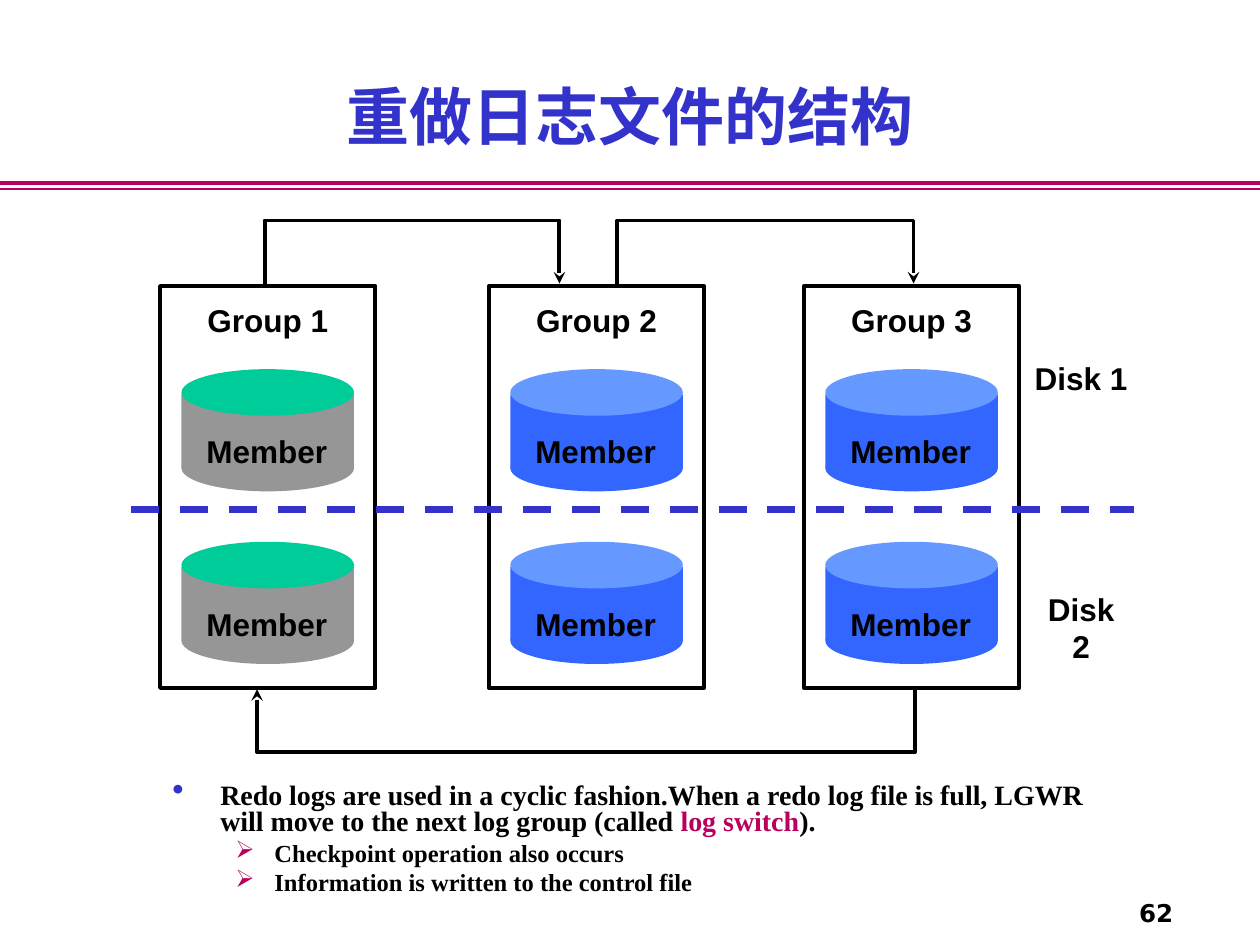
from dataclasses import dataclass
from typing import Any

from lxml.etree import SubElement
from pptx import Presentation
from pptx.dml.color import RGBColor
from pptx.enum.dml import MSO_LINE
from pptx.enum.shapes import MSO_CONNECTOR, MSO_SHAPE
from pptx.enum.text import MSO_ANCHOR, MSO_AUTO_SIZE, PP_ALIGN
from pptx.oxml.ns import qn
from pptx.util import Inches, Pt


@dataclass(frozen=True)
class Theme:
    """Colours, fonts, type sizes and line widths of the slide."""

    black: str = "000000"
    blue: str = "3333CC"
    crimson: str = "BA005D"
    serif: str = "Times New Roman"
    sans: str = "Arial"
    number_font: str = "DejaVu Sans"
    title_size: int = 36
    label_size: int = 18
    body_size: int = 16
    small_size: int = 14
    line_width: float = 2.25
    divider_width: float = 4


@dataclass(frozen=True)
class LogGroup:
    """A redo log group and the colours of its member disks."""

    name: str
    left: float
    side: str
    lid: str


@dataclass(frozen=True)
class Label:
    """A line of text with its box and format."""

    text: str
    box: tuple[float, float, float, float]
    size: int
    font: str
    align: PP_ALIGN = PP_ALIGN.CENTER
    wrap: bool = True


@dataclass(frozen=True)
class Bullet:
    """A bullet paragraph made of text and colour pairs."""

    runs: tuple[tuple[str, str], ...]
    mark: str
    mark_color: str
    mark_percent: int
    size: int
    level: int
    margin: float
    hanging: float
    space_before: float


THEME = Theme()
GROUPS = (
    LogGroup("Group 1", 1.27, "969696", "00CC99"),
    LogGroup("Group 2", 3.88, "3366FF", "6699FF"),
    LogGroup("Group 3", 6.38, "3366FF", "6699FF"),
)
FRAME_TOP, FRAME_WIDTH, FRAME_HEIGHT = 2.27, 1.71, 3.19
DISK_TOPS = (2.93, 4.3)
DISK_WIDTH, LID_HEIGHT = 1.37, 0.37
ARROWS = (
    ((2.1, 2.27), (2.1, 1.75), (4.44, 1.75), (4.44, 2.25)),
    ((4.9, 2.27), (4.9, 1.75), (7.25, 1.75), (7.25, 2.25)),
    ((7.26, 5.46), (7.26, 5.97), (2.04, 5.97), (2.04, 5.47)),
)
LABELS = (
    Label("Disk 1", (8.08, 2.8, 1, 0.4), THEME.label_size, THEME.sans),
    Label("Disk 2", (8.14, 4.63, 0.88, 0.7), THEME.label_size, THEME.sans),
    Label("62", (8.83, 7.08, 0.58, 0.33), THEME.small_size, THEME.number_font, PP_ALIGN.RIGHT, False),
)
BULLETS = (
    Bullet(
        (
            ("Redo logs are used in a cyclic fashion.When a redo log file is full, LGWR "
             "will move to the next log group (called ", THEME.black),
            ("log switch", THEME.crimson),
            (").", THEME.black),
        ),
        "•", THEME.blue, 120, THEME.body_size, 0, 0.38, 0.38, 0,
    ),
    *(
        Bullet(((text, THEME.black),), "➢", THEME.crimson, 100, THEME.small_size, 1, 0.81, 0.31, 3.5)
        for text in ("Checkpoint operation also occurs", "Information is written to the control file")
    ),
)


def apply_format(target: Any, values: dict[str, Any]) -> None:
    """Set every named attribute on the target."""
    for name, value in values.items():
        setattr(target, name, value)


def format_run(run: Any, font: str, size: int, color: str) -> None:
    """Give a run its bold font, size and colour."""
    apply_format(run.font, {"name": font, "size": Pt(size), "bold": True})
    run.font.color.rgb = RGBColor.from_string(color)


def format_line(line: Any, color: str, width: float) -> None:
    """Give a line its colour and width."""
    line.color.rgb = RGBColor.from_string(color)
    line.width = Pt(width)


def add_line(slide: Any, start: tuple[float, float], end: tuple[float, float], color: str, width: float) -> Any:
    """Draw a straight line without a shadow."""
    connector = slide.shapes.add_connector(MSO_CONNECTOR.STRAIGHT, *map(Inches, start + end))
    format_line(connector.line, color, width)
    SubElement(connector._element.spPr, qn("a:effectLst"))
    return connector


def add_arrow(slide: Any, points: tuple[tuple[float, float], ...]) -> None:
    """Draw an angled arrow through the points."""
    start, *corners = [(Inches(x), Inches(y)) for x, y in points]
    builder = slide.shapes.build_freeform(*start)
    builder.add_line_segments(corners, close=False)
    shape = builder.convert_to_shape()
    shape.shadow.inherit = False
    shape.fill.background()
    format_line(shape.line, THEME.black, THEME.line_width)
    SubElement(shape.line._get_or_add_ln(), qn("a:tailEnd"), type="stealth")


def add_disk(slide: Any, left: float, top: float, group: LogGroup) -> None:
    """Draw a member disk from a wall, a lid and a base."""
    parts = (
        (MSO_SHAPE.RECTANGLE, 0.2, 0.58, group.side),
        (MSO_SHAPE.OVAL, 0, LID_HEIGHT, group.lid),
        (MSO_SHAPE.OVAL, 0.6, LID_HEIGHT, group.side),
    )
    disk = slide.shapes.add_group_shape()
    for kind, offset, height, color in parts:
        shape = disk.shapes.add_shape(kind, *map(Inches, (left, top + offset, DISK_WIDTH, height)))
        shape.shadow.inherit = False
        shape.fill.solid()
        shape.fill.fore_color.rgb = RGBColor.from_string(color)
        shape.line.fill.background()


def add_label(slide: Any, label: Label) -> None:
    """Write one label."""
    frame = slide.shapes.add_textbox(*map(Inches, label.box)).text_frame
    frame.word_wrap = label.wrap
    paragraph = frame.paragraphs[0]
    paragraph.alignment = label.align
    run = paragraph.add_run()
    run.text = label.text
    format_run(run, label.font, label.size, THEME.black)


def add_log_group(slide: Any, group: LogGroup) -> None:
    """Draw a log group with its frame, name and member disks."""
    frame = slide.shapes.add_shape(
        MSO_SHAPE.RECTANGLE, *map(Inches, (group.left, FRAME_TOP, FRAME_WIDTH, FRAME_HEIGHT))
    )
    frame.shadow.inherit = False
    frame.fill.background()
    format_line(frame.line, THEME.black, THEME.line_width)
    add_label(slide, Label(group.name, (group.left, 2.34, FRAME_WIDTH, 0.4), THEME.label_size, THEME.sans))
    for top in DISK_TOPS:
        add_disk(slide, group.left + (FRAME_WIDTH - DISK_WIDTH) / 2, top, group)
        box = (group.left + 0.27, top + 0.45, 1.16, 0.4)
        add_label(slide, Label("Member", box, THEME.label_size, THEME.sans, PP_ALIGN.LEFT, False))


def add_bullet(paragraph: Any, bullet: Bullet) -> None:
    """Fill a paragraph with a marked, hanging bullet."""
    properties = paragraph._p.get_or_add_pPr()
    properties.set("marL", str(Inches(bullet.margin)))
    properties.set("indent", str(-Inches(bullet.hanging)))
    SubElement(SubElement(properties, qn("a:buClr")), qn("a:srgbClr"), val=bullet.mark_color)
    SubElement(properties, qn("a:buSzPct"), val=str(bullet.mark_percent * 1000))
    SubElement(properties, qn("a:buChar"), char=bullet.mark)
    apply_format(
        paragraph, {"level": bullet.level, "line_spacing": 0.8, "space_before": Pt(bullet.space_before)}
    )
    for text, color in bullet.runs:
        run = paragraph.add_run()
        run.text = text
        format_run(run, THEME.serif, bullet.size, color)


def add_title(slide: Any, text: str) -> None:
    """Place and format the title."""
    title = slide.shapes.title
    box = dict(zip(("left", "top", "width", "height"), map(Inches, (0.75, 0.53, 8.5, 0.77))))
    apply_format(title, box)
    title.text_frame.text = text
    apply_format(
        title.text_frame, {"vertical_anchor": MSO_ANCHOR.MIDDLE, "auto_size": MSO_AUTO_SIZE.NONE}
    )
    paragraph = title.text_frame.paragraphs[0]
    paragraph.alignment = PP_ALIGN.CENTER
    format_run(paragraph.runs[0], THEME.serif, THEME.title_size, THEME.blue)


def main() -> None:
    """Build and save the slide."""
    presentation = Presentation()
    apply_format(presentation, {"slide_width": Inches(10), "slide_height": Inches(7.5)})
    slide = presentation.slides.add_slide(presentation.slide_layouts[5])
    add_title(slide, "重做日志文件的结构")
    for top, width in ((1.45, THEME.line_width), (1.5, 1)):
        add_line(slide, (0, top), (10, top), THEME.crimson, width)
    for points in ARROWS:
        add_arrow(slide, points)
    for group in GROUPS:
        add_log_group(slide, group)
    divider = add_line(slide, (1.04, 4.04), (9, 4.04), THEME.blue, THEME.divider_width)
    divider.line.dash_style = MSO_LINE.DASH
    for label in LABELS:
        add_label(slide, label)
    body = slide.shapes.add_textbox(*map(Inches, (1.27, 6.17, 7.46, 1.03))).text_frame
    body.word_wrap = True
    for index, bullet in enumerate(BULLETS):
        add_bullet(body.add_paragraph() if index else body.paragraphs[0], bullet)
    presentation.save("out.pptx")


if __name__ == "__main__":
    main()
